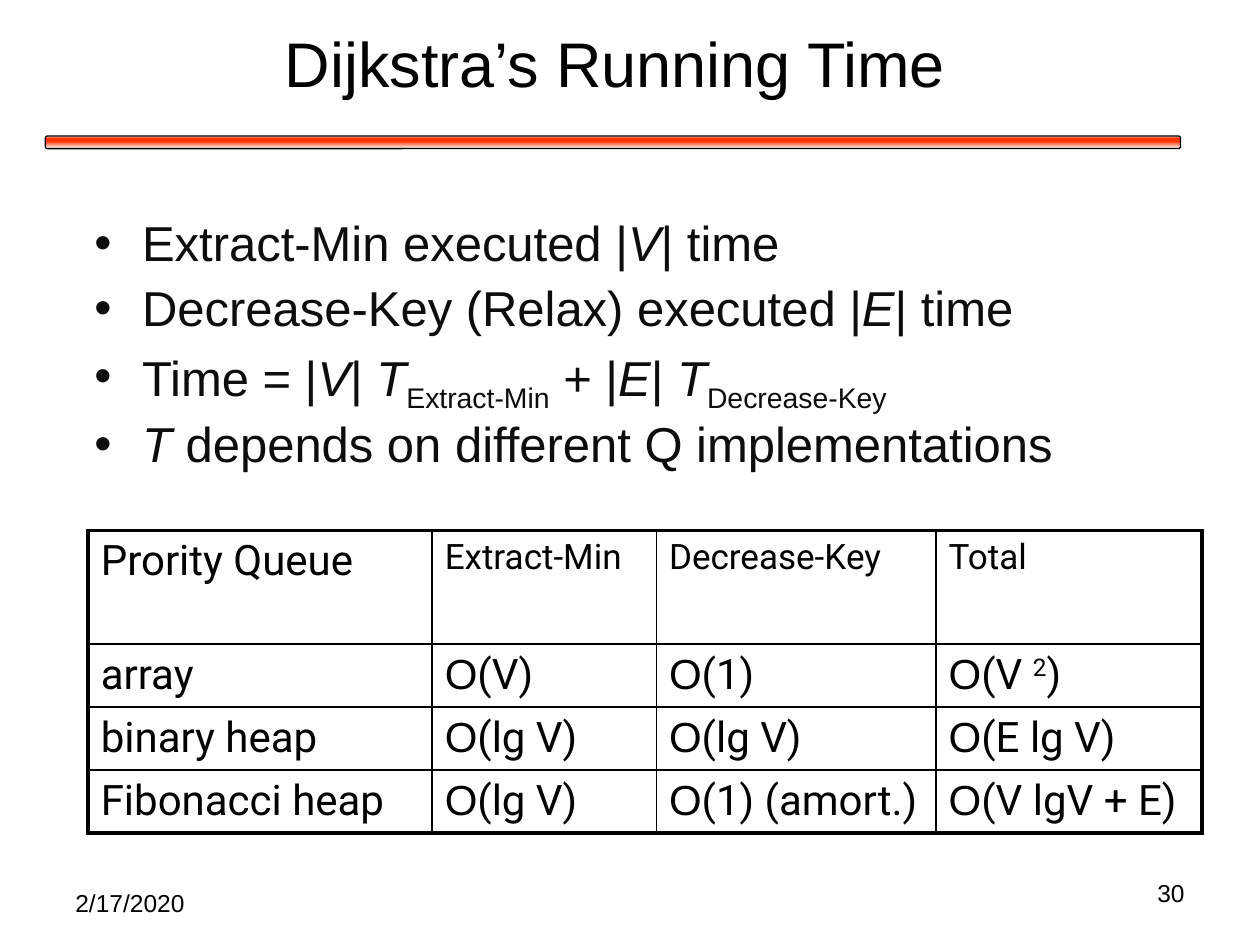
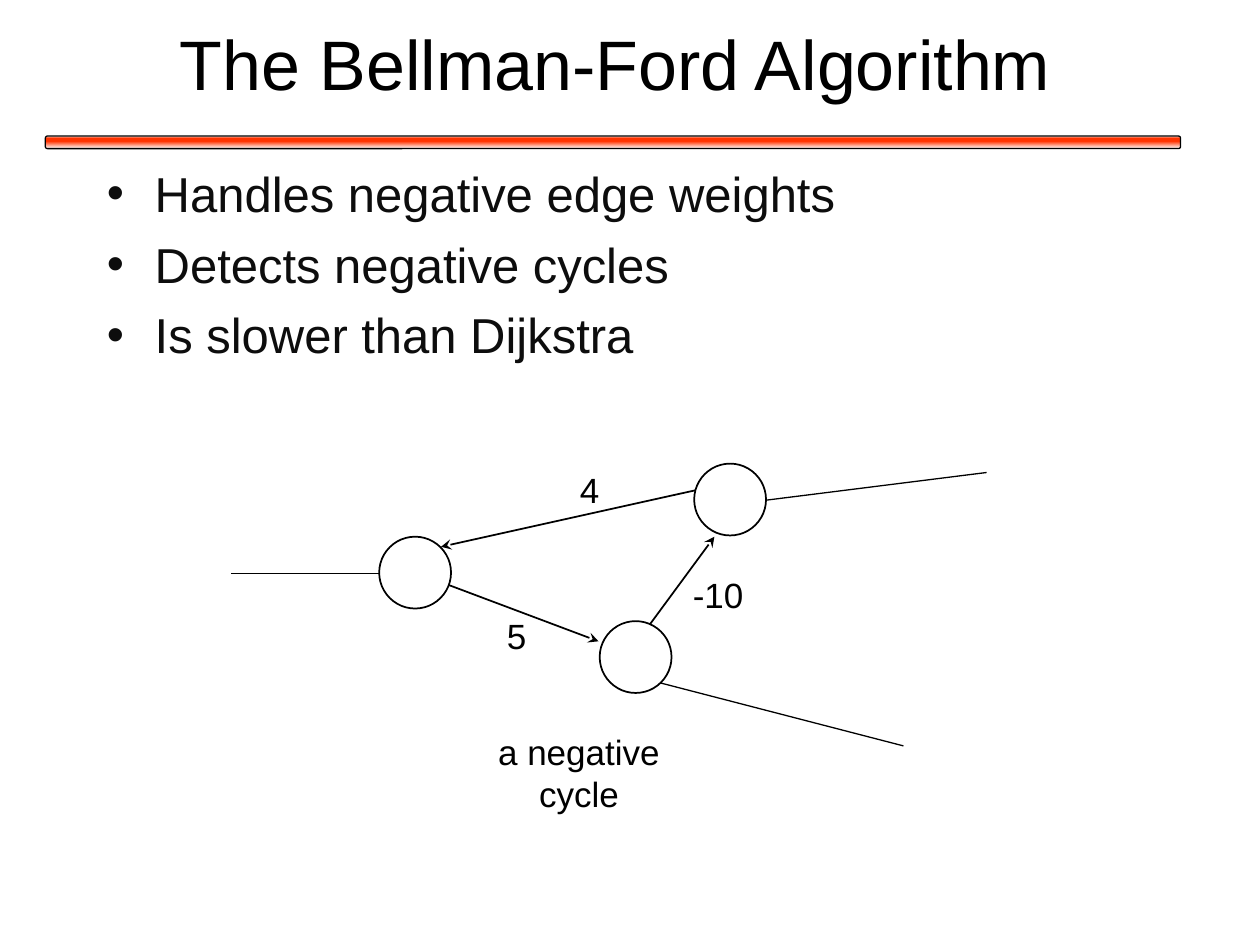
from dataclasses import dataclass

from lxml import etree
from pptx import Presentation
from pptx import util as u
from pptx.dml.color import RGBColor
from pptx.enum import shapes, text
from pptx.oxml import ns


@dataclass(frozen=True)
class Theme:
    black: str = "000000"
    body_ink: str = "0D0D0D"
    white: str = "FFFFFF"
    red: str = "FF3300"
    font: str = "Arial"
    table_font: str = "Roboto"
    body: int = 28
    table: int = 24
    label: int = 20
    footer: int = 14
    bullet_gap: float = 6.72
    thin: float = 0.75
    line: float = 1
    frame: float = 2.25


THEME = Theme()
SUB, SUP = -25000, 30000  # baseline shifts


# ---- Shared helpers ----
def rgb(value):
    return RGBColor.from_string(value)


def box(*lengths):
    return [u.Inches(n) for n in lengths]


def add_xml(parent, tag, **attributes):
    return etree.SubElement(parent, ns.qn(tag), attributes)


def style_run(run, size, color=THEME.black, font=THEME.font):
    run.font.size = u.Pt(size)
    run.font.name = font
    run.font.color.rgb = rgb(color)


def add_run(paragraph, words, size, color=THEME.black, font=THEME.font, italic=False, shift=0):
    run = paragraph.add_run()
    run.text = words
    style_run(run, size, color, font)
    if italic:
        run.font.italic = True
    if shift:
        run.font._element.set("baseline", str(shift))


def set_outline(shape, width):
    shape.line.color.rgb = rgb(THEME.black)
    shape.line.width = u.Pt(width)


# ---- Slide frame ----
def add_band(slide):
    band = slide.shapes.add_shape(shapes.MSO_SHAPE.ROUNDED_RECTANGLE, *box(0.36, 1.08, 9.01, 0.1))
    band.shadow.inherit = False
    set_outline(band, THEME.thin)
    band.fill.gradient()
    band.fill.gradient_angle = 270
    stops = band._element.spPr.find(".//" + ns.qn("a:gsLst"))
    for old_stop in list(stops):
        stops.remove(old_stop)
    for percent, color in ((0, THEME.white), (16, THEME.red), (42, THEME.red), (100, THEME.white)):
        add_xml(add_xml(stops, "a:gs", pos=str(percent * 1000)), "a:srgbClr", val=color)


def add_titled_slide(deck, heading, size):
    slide = deck.slides.add_slide(deck.slide_layouts[5])
    title = slide.shapes.title
    title.left, title.top, title.width, title.height = box(0.38, 0, 9, 0.99)
    frame = title.text_frame
    frame.text = heading
    frame.vertical_anchor = text.MSO_ANCHOR.MIDDLE
    frame.auto_size = text.MSO_AUTO_SIZE.NONE
    frame.paragraphs[0].alignment = text.PP_ALIGN.CENTER
    style_run(frame.paragraphs[0].runs[0], size)
    add_band(slide)
    return slide


def add_label(slide, words, place, size, align, wrap=True):
    label = slide.shapes.add_textbox(*box(*place))
    frame = label.text_frame
    frame.word_wrap = wrap
    if not wrap:
        frame.auto_size = text.MSO_AUTO_SIZE.SHAPE_TO_FIT_TEXT
    frame.text = words
    frame.paragraphs[0].alignment = align
    style_run(frame.paragraphs[0].runs[0], size)


# ---- Bullets: each point is a list of (words, run options) ----
def add_bullets(slide, place, points, line_spacing=1.0):
    frame = slide.shapes.add_textbox(*box(*place)).text_frame
    frame.word_wrap = True
    for index, point in enumerate(points):
        paragraph = frame.add_paragraph() if index else frame.paragraphs[0]
        paragraph.line_spacing = line_spacing
        paragraph.space_before = u.Pt(THEME.bullet_gap if index else 0)
        properties = paragraph._p.get_or_add_pPr()
        properties.set("marL", str(u.Inches(0.38)))
        properties.set("indent", str(-u.Inches(0.38)))
        add_xml(properties, "a:buFont", typeface=THEME.font)
        add_xml(properties, "a:buChar", char="•")
        for words, options in point:
            add_run(paragraph, words, THEME.body, THEME.body_ink, **options)


# ---- Table of running times ----
def set_borders(cell, widths):
    properties = cell._tc.get_or_add_tcPr()
    for index, (side, width) in enumerate(widths.items()):
        border = etree.Element(ns.qn("a:ln" + side), w=str(u.Pt(width)))
        add_xml(add_xml(border, "a:solidFill"), "a:srgbClr", val=THEME.black)
        properties.insert(index, border)


def add_cost_table(slide, place, widths, heights, rows):
    table = slide.shapes.add_table(len(rows), len(widths), *box(*place)).table
    table.first_row = table.horz_banding = False
    for column, width in zip(table.columns, widths):
        column.width = u.Inches(width)
    for row, height in zip(table.rows, heights):
        row.height = u.Inches(height)
    last_row, last_column = len(rows) - 1, len(widths) - 1
    for r, row in enumerate(rows):
        for c, words in enumerate(row):
            cell = table.cell(r, c)
            cell.fill.background()
            edges = {"L": c == 0, "R": c == last_column, "T": r == 0, "B": r == last_row}
            set_borders(cell, {side: THEME.frame if outer else THEME.line
                               for side, outer in edges.items()})
            paragraph = cell.text_frame.paragraphs[0]
            size = THEME.label if r == 0 and c else THEME.table
            if r and c:  # costs start with a big O in the body font
                add_run(paragraph, "Ο", size)
            base, mark, power = words.partition("^")
            add_run(paragraph, base, size, font=THEME.table_font)
            if mark:
                add_run(paragraph, power[0], size, font=THEME.table_font, shift=SUP)
                add_run(paragraph, power[1:], size, font=THEME.table_font)


# ---- Graph ----
def add_edge(slide, start, end, width, arrow=False):
    edge = slide.shapes.add_connector(shapes.MSO_CONNECTOR.STRAIGHT, *box(*start, *end))
    set_outline(edge, width)
    if arrow:
        add_xml(edge.line._get_or_add_ln(), "a:tailEnd", type="stealth")
    add_xml(edge._element.spPr, "a:effectLst")


def add_node(slide, left, top):
    node = slide.shapes.add_shape(shapes.MSO_SHAPE.OVAL, *box(left, top, 0.57, 0.57))
    node.shadow.inherit = False
    node.fill.solid()
    node.fill.fore_color.rgb = rgb(THEME.white)
    set_outline(node, THEME.line)


# ---- Slides ----
def build_running_time(deck):
    slide = add_titled_slide(deck, "Dijkstra’s Running Time", 36)
    plain, italic, sub = {}, {"italic": True}, {"shift": SUB}
    add_bullets(slide, (0.65, 1.69, 9.14, 1.91), [
        [("Extract-Min executed |", plain), ("V", italic), ("| time", plain)],
        [("Decrease-Key (Relax) executed |", plain), ("E", italic), ("| time", plain)],
        [("Time = |", plain), ("V", italic), ("| ", plain), ("T", italic), ("Extract-Min", sub),
         (" + |", plain), ("E", italic), ("| ", plain), ("T", italic), ("Decrease-Key", sub)],
        [("T", italic), (" depends on different Q implementations", plain)],
    ], line_spacing=0.9)
    add_cost_table(slide, (0.7, 4.21, 8.84, 2.4), (2.73, 1.78, 2.22, 2.11), (0.9, 0.5, 0.5, 0.5), [
        ("Prority Queue", "Extract-Min", "Decrease-Key", "Total"),
        ("array", "(V)", "(1)", "(V ^2)"),
        ("binary heap", "(lg V)", "(lg V)", "(E lg V)"),
        ("Fibonacci heap", "(lg V)", "(1) (amort.)", "(V lgV + E)"),
    ])
    add_label(slide, "2/17/2020", (0.5, 7, 2.33, 0.35), THEME.footer, text.PP_ALIGN.LEFT)
    add_label(slide, "30", (7.42, 6.92, 2.08, 0.5), THEME.footer, text.PP_ALIGN.RIGHT)


def build_bellman_ford(deck):
    slide = add_titled_slide(deck, "The Bellman-Ford Algorithm", 40)
    points = ("Handles negative edge weights", "Detects negative cycles", "Is slower than Dijkstra")
    add_bullets(slide, (0.75, 1.25, 8.5, 2.33), [[(point, {})] for point in points])
    # Edges of the cycle, then the edges that leave it
    for start, end in (((5.75, 3.84), (3.5, 4.34)), ((5, 5.17), (5.67, 4.26)),
                       ((3.42, 4.59), (4.75, 5.09))):
        add_edge(slide, start, end, THEME.line, arrow=True)
    for start, end in (((6.08, 3.97), (7.83, 3.75)), ((5.24, 5.42), (7.17, 5.92)),
                       ((3.01, 4.55), (1.83, 4.55))):
        add_edge(slide, start, end, THEME.thin)
    for left, top in ((3.01, 4.26), (4.76, 4.93), (5.51, 3.68)):
        add_node(slide, left, top)
    # Weights and caption
    for words, left, top, width in (("4", 4.5, 3.67, 0.36), ("5", 3.92, 4.83, 0.36),
                                    ("-10", 5.4, 4.5, 0.6), ("a negative cycle", 3.5, 5.75, 2.19)):
        add_label(slide, words, (left, top, width, 0.43), THEME.label,
                  text.PP_ALIGN.CENTER, wrap=False)


def main():
    deck = Presentation()
    deck.slide_width, deck.slide_height = box(10, 7.5)
    build_running_time(deck)
    build_bellman_ford(deck)
    deck.save("out.pptx")


if __name__ == "__main__":
    main()
